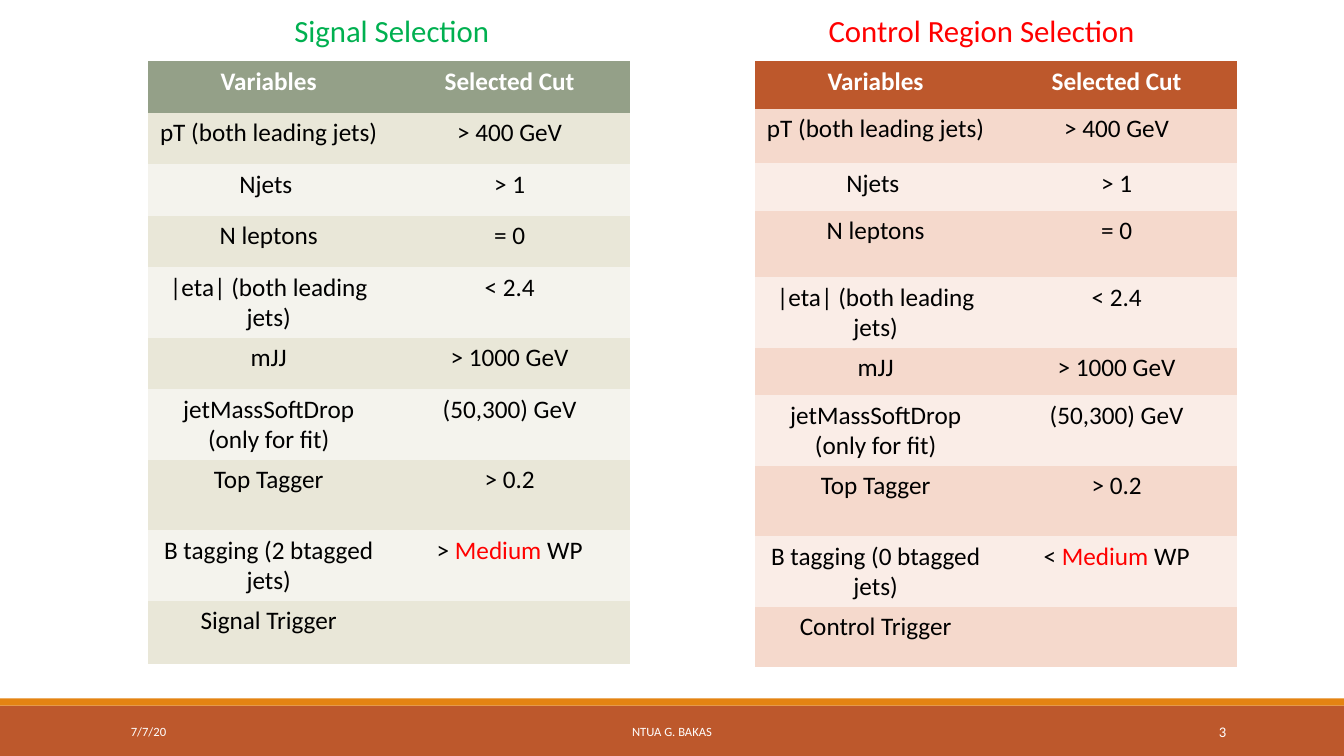
import pptx
import pptx.util
import pptx.dml.color
import pptx.enum.shapes
import pptx.enum.text
import pptx.oxml.ns

Inches = pptx.util.Inches
Color = pptx.dml.color.RGBColor
Align = pptx.enum.text.PP_ALIGN
Anchor = pptx.enum.text.MSO_ANCHOR

WHITE = Color(0xFF, 0xFF, 0xFF)
BLACK = Color(0x00, 0x00, 0x00)
RED = Color(0xFF, 0x00, 0x00)
GREEN = Color(0x00, 0xB0, 0x50)
RUST = Color(0xBD, 0x58, 0x2C)
ORANGE = Color(0xE4, 0x83, 0x12)
SAGE = Color(0x94, 0xA0, 0x88)
SAGE_MID = Color(0xE9, 0xE7, 0xD8)
SAGE_PALE = Color(0xF4, 0xF3, 0xED)
RUST_MID = Color(0xF5, 0xD9, 0xCC)
RUST_PALE = Color(0xFA, 0xED, 0xE7)
NO_STYLE = "{2D5ABB26-0587-4C30-8999-92F81FD0307C}"


def style(run, size, color, bold=False):
    run.font.name = "Calibri"
    run.font.size = pptx.util.Pt(size)
    run.font.color.rgb = color
    run.font.bold = bold


def label(text, left, top, width, height, size, color, align, anchor, wrap):
    box = slide.shapes.add_textbox(Inches(left), Inches(top), Inches(width), Inches(height))
    frame = box.text_frame
    frame.word_wrap = wrap
    frame.vertical_anchor = anchor
    frame.text = text
    frame.paragraphs[0].alignment = align
    style(frame.paragraphs[0].runs[0], size, color)


deck = pptx.Presentation()
deck.slide_width = Inches(13.33)
deck.slide_height = Inches(7.5)
slide = deck.slides.add_slide(deck.slide_layouts[6])

# Footer bands
for top, height, color in [(7, 0.5, RUST), (6.93, 0.07, ORANGE)]:
    band = slide.shapes.add_shape(
        pptx.enum.shapes.MSO_SHAPE.RECTANGLE, 0, Inches(top), deck.slide_width, Inches(height))
    band.shadow.inherit = False
    band.fill.solid()
    band.fill.fore_color.rgb = color
    band.line.fill.background()

# Footer text
for text, left, width, size, align in [
    ("7/7/20", 1.2, 2.7, 9, Align.LEFT),
    ("NTUA G. BAKAS", 4.03, 5.27, 9, Align.CENTER),
    ("3", 10.83, 1.43, 10.5, Align.RIGHT),
]:
    label(text, left, 7.06, width, 0.4, size, WHITE, align, Anchor.MIDDLE, True)

# Table headings
for text, left, width, color in [
    ("Signal Selection", 2.82, 2.18, GREEN),
    ("Control Region Selection", 8.12, 3.6, RED),
]:
    label(text, left, 0.07, width, 0.47, 22, color, Align.LEFT, Anchor.TOP, False)

# Selection tables: the first rows are shared, the last two differ
SHARED = [
    ("Variables", "Selected Cut"),
    ("pT (both leading jets) ", "> 400 GeV"),
    ("Njets ", "> 1"),
    ("N leptons", "= 0"),
    ("|eta| (both leading jets)", "< 2.4"),
    ("mJJ", "> 1000 GeV"),
    ("jetMassSoftDrop (only for fit)", "(50,300) GeV"),
    ("Top Tagger", "> 0.2"),
]
TABLES = [
    (1.47, [0.51, 0.51, 0.51, 0.51, 0.7, 0.51, 0.7, 0.7, 0.7, 0.63],
     (SAGE, SAGE_MID, SAGE_PALE), "2", ">", "Signal"),
    (7.49, [0.47, 0.54, 0.47, 0.66, 0.7, 0.47, 0.7, 0.7, 0.7, 0.6],
     (RUST, RUST_MID, RUST_PALE), "0", "<", "Control"),
]
for left, heights, (head, mid, pale), count, sign, name in TABLES:
    rows = SHARED + [
        (f"B tagging ({count} btagged jets)", (f"{sign} ", "Medium", " WP")),
        (f"{name} Trigger", ""),
    ]
    table = slide.shapes.add_table(
        len(rows), 2, Inches(left), Inches(0.61), Inches(4.78), Inches(sum(heights))).table
    table.horz_banding = False
    table._tbl.tblPr.find(pptx.oxml.ns.qn("a:tableStyleId")).text = NO_STYLE
    for r, row in enumerate(rows):
        table.rows[r].height = Inches(heights[r])
        for c, text in enumerate(row):
            cell = table.cell(r, c)
            cell.fill.solid()
            cell.fill.fore_color.rgb = head if r == 0 else mid if r % 2 else pale
            para = cell.text_frame.paragraphs[0]
            para.alignment = Align.CENTER
            parts = (text,) if isinstance(text, str) else text
            for part in filter(None, parts):
                run = para.add_run()
                run.text = part
                color = WHITE if r == 0 else RED if part == "Medium" else BLACK
                style(run, 18, color, r == 0)

deck.save("out.pptx")
